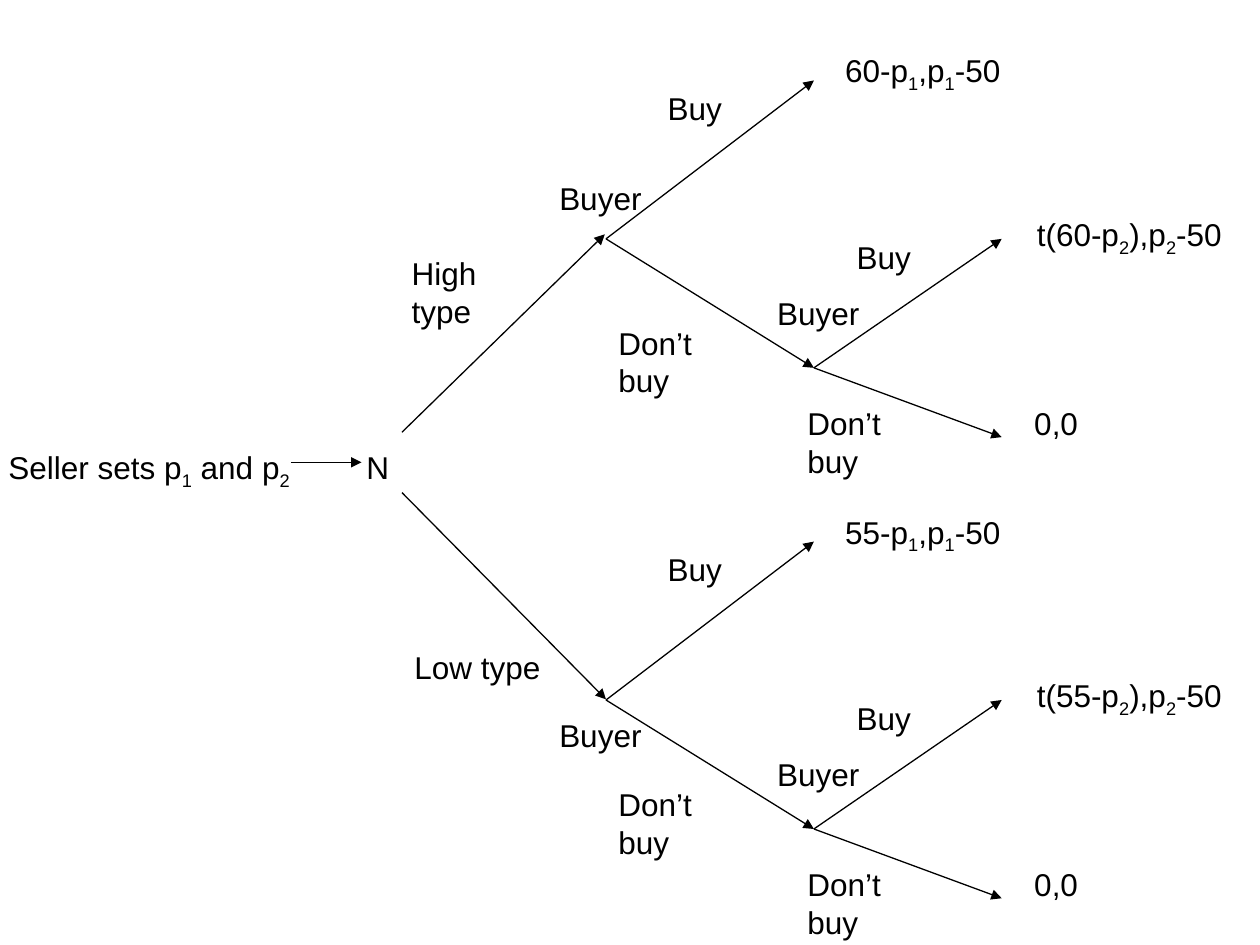
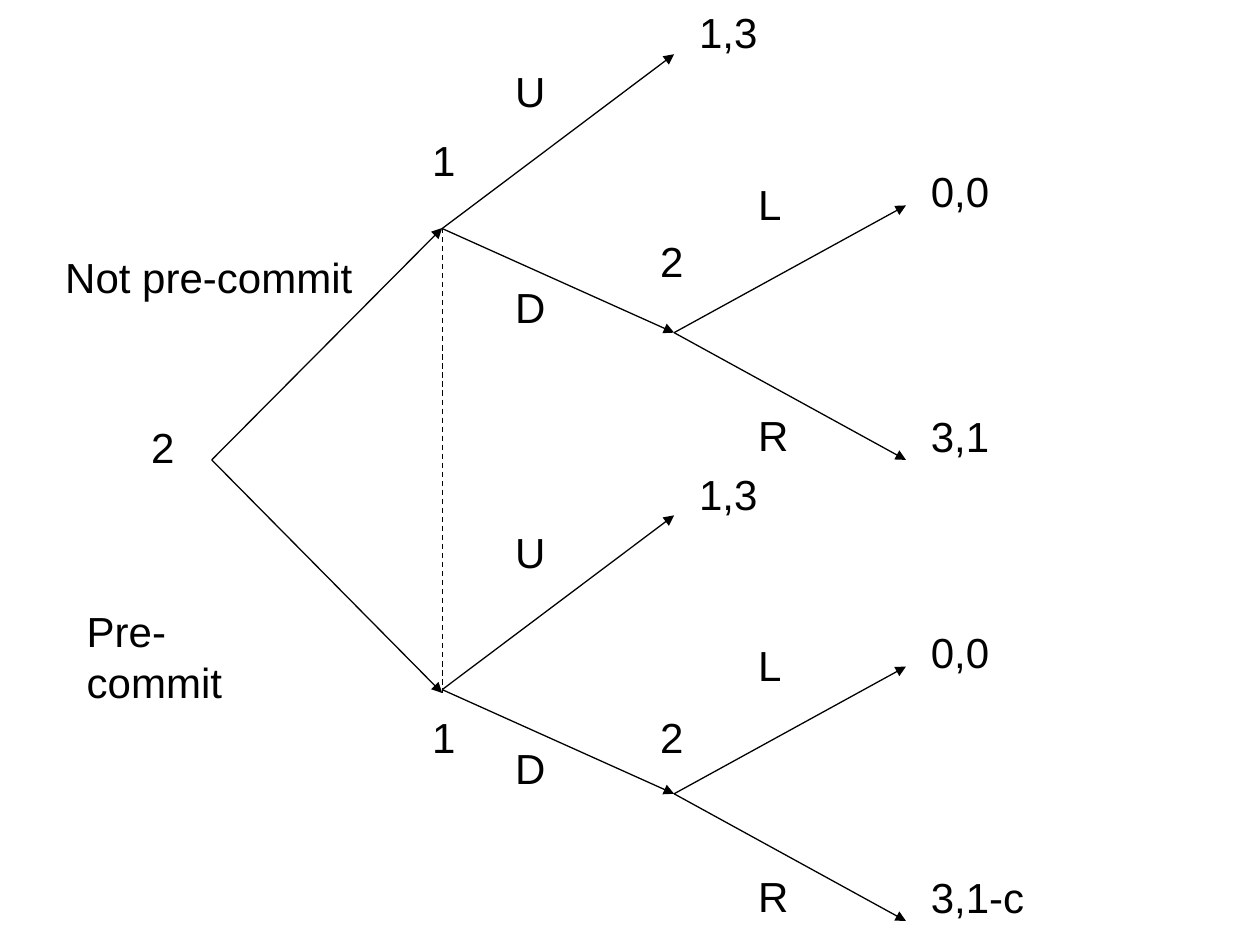
from lxml import etree
from pptx import Presentation
from pptx import util as u
from pptx.dml.color import RGBColor
from pptx.enum import dml, shapes, text
from pptx.oxml.ns import qn

COLOURS = {"ink": "000000"}
FONT = "Arial"
BRANCH_DROP = 263.5  # distance from the upper branch to the lower one

# Lines are (x1, y1, x2, y2); labels are (text, left, top, width).
# "_" lowers the next character to a subscript.
# "repeated" parts appear in both branches; "payoffs" give a text per branch.
GAMES = [
    {  # Pricing game with two buyer types
        "size": 18,
        "height": 29,
        "arrows": [
            (229.7, 247, 345.6, 133.9),
            (229.7, 281.5, 346.3, 399.6),
            (166.3, 264.2, 206.6, 264.2),
        ],
        "dashed": [],
        "labels": [
            ("Seller sets p_1 and p_2", -2.2, 252.7, 175),
            ("N", 202.3, 252.7, 27.4),
            ("High type", 228.2, 141.8, 90),
            ("Low type", 229.7, 366.5, 86.4),
            ("Buyer", 312.5, 98.6, 61.2),
            ("Buyer", 312.5, 405.4, 61.2),
        ],
        "repeated_arrows": [
            (346.3, 136.5, 465.1, 46),
            (346.3, 136.5, 465.1, 210.2),
            (465.1, 210.2, 572.4, 136.5),
            (465.1, 210.2, 572.4, 249.8),
        ],
        "repeated_labels": [
            ("Buy", 374.4, 47.5, 45.4),
            ("Don’t buy", 346.3, 181.4, 90),
            ("Buyer", 437, 164.2, 61.2),
            ("Buy", 482.4, 132.5, 45.4),
            ("Don’t buy", 454.3, 227.3, 90),
        ],
        "payoffs": [
            (("60-p_1,p_1-50", "55-p_1,p_1-50"), 475.9, 25.9, (103, 103)),
            (("t(60-p_2),p_2-50", "t(55-p_2),p_2-50"), 585.4, 119.5, (120.2, 120.2)),
            (("0,0", "0,0"), 583.9, 227.3, (39.6, 39.6)),
        ],
    },
    {  # Pre-commitment game
        "size": 24,
        "height": 36,
        "arrows": [(121, 262.8, 252.7, 130.3), (121, 262.8, 252.7, 396)],
        "dashed": [(252.7, 130.3, 252.7, 396)],
        "labels": [
            ("2", 79.2, 237.6, 27.4),
            ("Not pre-commit", 30.2, 140.4, 178.6),
            ("Pre-commit", 42.5, 342.7, 136.8),
            ("1", 239.8, 73.4, 27.4),
            ("1", 239.8, 403.2, 27.4),
            ("2", 370.1, 131, 27.4),
            ("2", 370.1, 403.2, 27.4),
        ],
        "repeated_arrows": [
            (252.7, 130.6, 385.2, 31),
            (252.7, 130.6, 385.2, 190.1),
            (385.2, 190.1, 517.7, 262.8),
            (385.2, 190.1, 517.7, 117.4),
        ],
        "repeated_labels": [
            ("U", 287.3, 33.8, 31.7),
            ("D", 287.3, 157.4, 31.7),
            ("L", 426.2, 98.3, 27.4),
            ("R", 426.2, 230.4, 31.7),
        ],
        "payoffs": [
            (("1,3", "1,3"), 392.4, 0.4, (47.5, 47.5)),
            (("0,0", "0,0"), 524.9, 91, (47.5, 47.5)),
            (("3,1", "3,1-c"), 524.9, 231.1, (47.5, 67.7)),
        ],
    },
]


def add_line(slide, ends, dashed=False):
    connector = slide.shapes.add_connector(
        shapes.MSO_CONNECTOR.STRAIGHT, *(u.Pt(value) for value in ends))
    connector.line.width = u.Pt(0.75)
    connector.line.color.rgb = RGBColor.from_string(COLOURS["ink"])
    if dashed:
        connector.line.dash_style = dml.MSO_LINE.DASH
    else:
        line = connector.line._get_or_add_ln()
        etree.SubElement(line, qn("a:tailEnd"), type="triangle")
    etree.SubElement(connector._element.spPr, qn("a:effectLst"))


def add_run(paragraph, words, size, subscript=False):
    if not words:
        return
    run = paragraph.add_run()
    run.text = words
    run.font.name = FONT
    run.font.size = u.Pt(size)
    run.font.color.rgb = RGBColor.from_string(COLOURS["ink"])
    if subscript:
        run._r.get_or_add_rPr().set("baseline", "-25000")


def add_label(slide, game, words, left, top, width):
    height = game["height"] + (2.7 if "_" in words else 0)
    box = slide.shapes.add_textbox(*(u.Pt(value) for value in (left, top, width, height)))
    frame = box.text_frame
    frame.word_wrap = False
    frame.auto_size = text.MSO_AUTO_SIZE.SHAPE_TO_FIT_TEXT
    paragraph = frame.paragraphs[0]
    first, *others = words.split("_")
    add_run(paragraph, first, game["size"])
    for piece in others:
        add_run(paragraph, piece[0], game["size"], subscript=True)
        add_run(paragraph, piece[1:], game["size"])


def draw_game(slide, game):
    # Opening moves
    for ends in game["arrows"]:
        add_line(slide, ends)
    for ends in game["dashed"]:
        add_line(slide, ends, dashed=True)
    for label in game["labels"]:
        add_label(slide, game, *label)

    # Upper and lower branch
    for branch in range(2):
        drop = branch * BRANCH_DROP
        for x1, y1, x2, y2 in game["repeated_arrows"]:
            add_line(slide, (x1, y1 + drop, x2, y2 + drop))
        for words, left, top, width in game["repeated_labels"]:
            add_label(slide, game, words, left, top + drop, width)
        for words, left, top, widths in game["payoffs"]:
            add_label(slide, game, words[branch], left, top + drop, widths[branch])


def main():
    presentation = Presentation()
    presentation.slide_width = u.Pt(720)
    presentation.slide_height = u.Pt(540)
    blank_layout = presentation.slide_layouts[6]
    for game in GAMES:
        draw_game(presentation.slides.add_slide(blank_layout), game)
    presentation.save("out.pptx")


if __name__ == "__main__":
    main()
